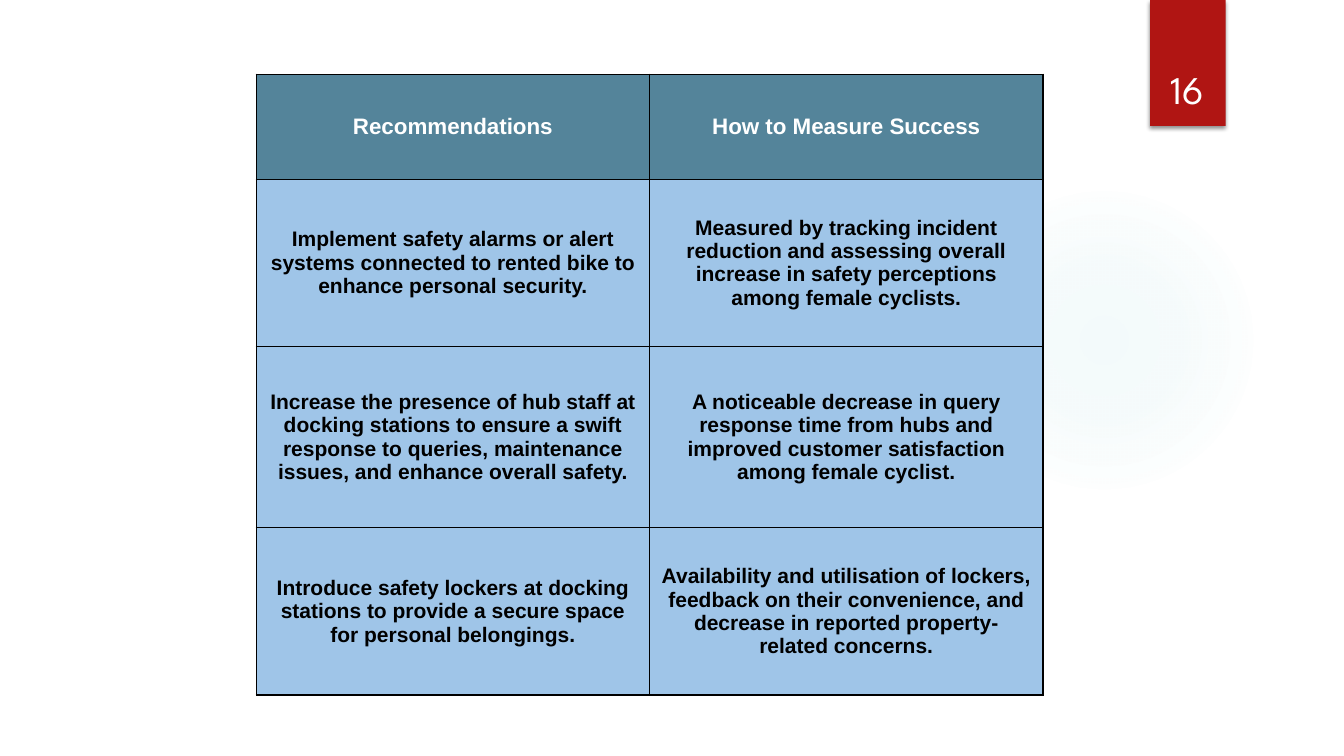
from pptx import Presentation
from pptx import util as u
from pptx.dml import color
from pptx.enum import shapes, text
from pptx.oxml import parse_xml

Pt = u.Pt
NS = 'xmlns:a="http://schemas.openxmlformats.org/drawingml/2006/main"'
ROWS = [
    ("Recommendations", "How to Measure Success"),
    ("Implement safety alarms or alert systems connected to rented bike to enhance personal security.",
     "Measured by tracking incident reduction and assessing overall increase in safety perceptions "
     "among female cyclists."),
    ("Increase the presence of hub staff at docking stations to ensure a swift response to queries, "
     "maintenance issues, and enhance overall safety.",
     "A noticeable decrease in query response time from hubs and improved customer satisfaction "
     "among female cyclist."),
    ("Introduce safety lockers at docking stations to provide a secure space for personal belongings.",
     "Availability and utilisation of lockers, feedback on their convenience, and decrease in "
     "reported property-related concerns."),
]
TALL = [75, 119.5, 129.5, 119.5]


def rgb(code):
    return color.RGBColor.from_string(code)


def write(frame, words, font, size, tint, bold=False):
    para = frame.paragraphs[0]
    para.alignment = text.PP_ALIGN.CENTER
    run = para.add_run()
    run.text = words
    run.font.name = font
    run.font.size = Pt(size)
    run.font.bold = bold
    run.font.color.rgb = rgb(tint)


def plain(slide, kind, x, y, w, h, fill):
    shape = slide.shapes.add_shape(kind, Pt(x), Pt(y), Pt(w), Pt(h))
    shape.shadow.inherit = False
    shape.fill.solid()
    shape.fill.fore_color.rgb = rgb(fill)
    shape.line.fill.background()
    return shape


def glow(slide, x, y, size, tint):
    disc = plain(slide, shapes.MSO_SHAPE.OVAL, x, y, size, size, tint)
    stops = "".join(
        f'<a:gs pos="{pos * 1000}"><a:srgbClr val="{tint}"><a:alpha val="{alpha * 1000}"/></a:srgbClr></a:gs>'
        for pos, alpha in [(0, 6), (36, 5), (69, 0), (100, 0)])
    grad = parse_xml(
        f'<a:gradFill {NS} rotWithShape="1"><a:gsLst>{stops}</a:gsLst><a:path path="circle">'
        '<a:fillToRect l="50000" t="50000" r="50000" b="50000"/></a:path></a:gradFill>')
    props = disc._element.spPr
    props.replace(props.find("{*}solidFill"), grad)


def badge(slide, x, y, w, h):
    flag = plain(slide, shapes.MSO_SHAPE.RECTANGLE, x, y, w, h, "B01513")
    flag._element.spPr.find("{*}effectLst").append(parse_xml(
        f'<a:outerShdw {NS} blurRad="{Pt(3)}" dist="{Pt(2)}" dir="5400000" rotWithShape="0">'
        '<a:srgbClr val="000000"><a:alpha val="44000"/></a:srgbClr></a:outerShdw>'))


def number(slide, x, y, w, h, words):
    box = slide.shapes.add_textbox(Pt(x), Pt(y), Pt(w), Pt(h))
    frame = box.text_frame
    frame.word_wrap = True
    frame.vertical_anchor = text.MSO_ANCHOR.BOTTOM
    write(frame, words, "League Spartan", 28, "FFFFFF")


def border(cell):
    props = cell._tc.get_or_add_tcPr()
    for spot, side in enumerate("LRTB"):
        props.insert(spot, parse_xml(
            f'<a:ln{side} {NS} w="{Pt(1)}"><a:solidFill><a:srgbClr val="000000"/></a:solidFill></a:ln{side}>'))


def grid(slide, x, y, w):
    count = len(ROWS[0])
    table = slide.shapes.add_table(len(ROWS), count, Pt(x), Pt(y), Pt(w), Pt(sum(TALL))).table
    for col in table.columns:
        col.width = Pt(w / count)
    for r, words in enumerate(ROWS):
        table.rows[r].height = Pt(TALL[r])
        fill, size, tint = ("9FC5E8", 15, "000000") if r else ("54849A", 16, "FFFFFF")
        for c, word in enumerate(words):
            cell = table.cell(r, c)
            cell.vertical_anchor = text.MSO_ANCHOR.MIDDLE
            cell.fill.solid()
            cell.fill.fore_color.rgb = rgb(fill)
            border(cell)
            write(cell.text_frame, word, "Arial", size, tint, True)


def main():
    deck = Presentation()
    deck.slide_width, deck.slide_height = Pt(960), Pt(540)
    slide = deck.slides.add_slide(deck.slide_layouts[6])
    glow(slide, 677.5, 132, 222, "4CB9C3")
    badge(slide, 821.5, 0, 54, 90)
    grid(slide, 183, 53, 562)
    number(slide, 815, 23, 66, 60.5, "16")
    deck.save("out.pptx")


if __name__ == "__main__":
    main()
